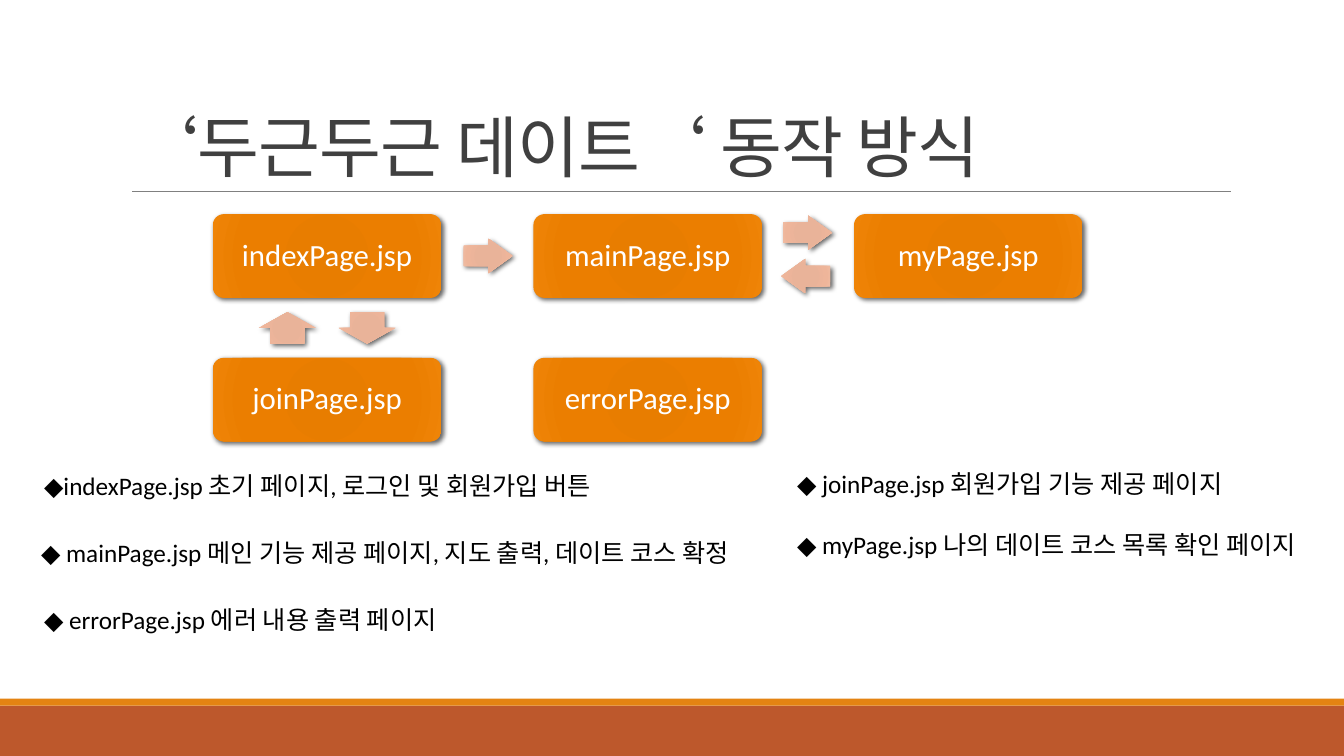
from pptx import Presentation
from pptx.dml.color import RGBColor
from pptx.enum.shapes import MSO_CONNECTOR, MSO_SHAPE
from pptx.enum.text import MSO_ANCHOR, PP_ALIGN
from pptx.oxml import parse_xml
from pptx.oxml.ns import nsdecls, qn
from pptx.util import Pt
from lxml import etree

RECT, ROUND = MSO_SHAPE.RECTANGLE, MSO_SHAPE.ROUNDED_RECTANGLE
RIGHT, LEFT = MSO_SHAPE.RIGHT_ARROW, MSO_SHAPE.LEFT_ARROW
UP, DOWN = MSO_SHAPE.UP_ARROW, MSO_SHAPE.DOWN_ARROW
CENTER, MIDDLE, BOTTOM = PP_ALIGN.CENTER, MSO_ANCHOR.MIDDLE, MSO_ANCHOR.BOTTOM
ORANGE = ["E57B00", "E87D00", "EB7E00", "EF8407"]
PEACH = ["E8B096", "E9B399", "EEB59A", "F2C0A8"]
STOPS = [0, 34, 70, 100]


def write(frame, text, size, color):
    para = frame.paragraphs[0]
    run = para.add_run()
    run.text = text
    run.font.name = "Calibri"
    run.font.size = Pt(size)
    run.font.color.rgb = RGBColor.from_string(color)
    return para


def glossy(kind, x, y, w, h, tones):
    shape = slide.shapes.add_shape(kind, Pt(x), Pt(y), Pt(w), Pt(h))
    shape.line.fill.background()
    shape.fill.background()
    shape.shadow.inherit = False
    props = shape.element.spPr
    stops = "".join(f'<a:gs pos="{pos * 1000}"><a:srgbClr val="{tone}"/></a:gs>'
                    for pos, tone in zip(STOPS, tones))
    props.replace(props.find(qn("a:noFill")), parse_xml(
        f'<a:gradFill {nsdecls("a")} rotWithShape="1"><a:gsLst>{stops}</a:gsLst>'
        '<a:path path="circle"><a:fillToRect l="100000" t="100000" r="100000" b="100000"/>'
        '</a:path></a:gradFill>'))
    props.find(qn("a:effectLst")).append(parse_xml(
        f'<a:outerShdw {nsdecls("a")} blurRad="{Pt(3.5)}" dist="{Pt(2)}" dir="2700000" '
        'algn="br" rotWithShape="0"><a:srgbClr val="000000"><a:alpha val="60000"/>'
        '</a:srgbClr></a:outerShdw>'))
    return shape


deck = Presentation()
deck.slide_width, deck.slide_height = Pt(960), Pt(540)
slide = deck.slides.add_slide(deck.slide_layouts[5])

for y, h, color in [(504, 36, "BD582C"), (499, 5, "E48312")]:
    bar = slide.shapes.add_shape(RECT, 0, Pt(y), Pt(960), Pt(h))
    bar.fill.solid()
    bar.fill.fore_color.rgb = RGBColor.from_string(color)
    bar.line.fill.background()
    bar.shadow.inherit = False

rule = slide.shapes.add_connector(MSO_CONNECTOR.STRAIGHT, Pt(94.5), Pt(136.8), Pt(879), Pt(136.8))
rule.line.color.rgb = RGBColor.from_string("808080")
rule.line.width = Pt(0.5)
etree.SubElement(rule.element.spPr, qn("a:effectLst"))

title = slide.shapes.title
title.left, title.top, title.width, title.height = Pt(86.4), Pt(22.3), Pt(792), Pt(114.5)
frame = title.text_frame
frame.word_wrap = True
frame.vertical_anchor = BOTTOM
para = write(frame, "‘두근두근 데이트‘ 동작 방식", 48, "404040")
para.alignment = PP_ALIGN.LEFT
para.line_spacing = 0.85
para.runs[0].font._element.set("spc", "-50")

for col, row, name in [(0, 0, "index"), (1, 0, "main"), (2, 0, "my"),
                       (0, 1, "join"), (1, 1, "error")]:
    box = glossy(ROUND, 152 + 229 * col, 153 + 102.6 * row, 163.3, 59.8, ORANGE)
    box.adjustments[0] = 0.13
    frame = box.text_frame
    frame.word_wrap = True
    frame.vertical_anchor = MIDDLE
    frame.margin_left = frame.margin_right = Pt(9.4)
    frame.margin_top = frame.margin_bottom = Pt(9.4)
    para = write(frame, name + "Page.jsp", 22, "FFFFFF")
    para.alignment = CENTER
    para.line_spacing = 0.9

for kind, x, y, w, h, head in [
        (RIGHT, 331.2, 170.6, 35, 24.5, 0.7), (RIGHT, 559.4, 154, 35, 24.5, 0.7),
        (LEFT, 558, 185, 35, 24.5, 0.7), (UP, 185, 223, 40.5, 22.5, 0.5),
        (DOWN, 242, 223, 40.5, 22.5, 0.5)]:
    arrow = glossy(kind, x, y, w, h, PEACH)
    arrow.adjustments[0] = 0.6
    arrow.adjustments[1] = head

for x, y, w, text in [
        (24.5, 332.6, 475, "◆indexPage.jsp 초기 페이지, 로그인 및 회원가입 버튼"),
        (22.3, 380.2, 562, "◆ mainPage.jsp 메인 기능 제공 페이지, 지도 출력, 데이트 코스 확정"),
        (24.5, 428.4, 421, "◆ errorPage.jsp 에러 내용 출력 페이지"),
        (562.3, 331.2, 397, "◆ joinPage.jsp 회원가입 기능 제공 페이지"),
        (562.3, 374.4, 397, "◆ myPage.jsp 나의 데이트 코스 목록 확인 페이지")]:
    note = slide.shapes.add_textbox(Pt(x), Pt(y), Pt(w), Pt(29))
    note.text_frame.word_wrap = True
    write(note.text_frame, text, 18, "000000")

deck.save("out.pptx")
